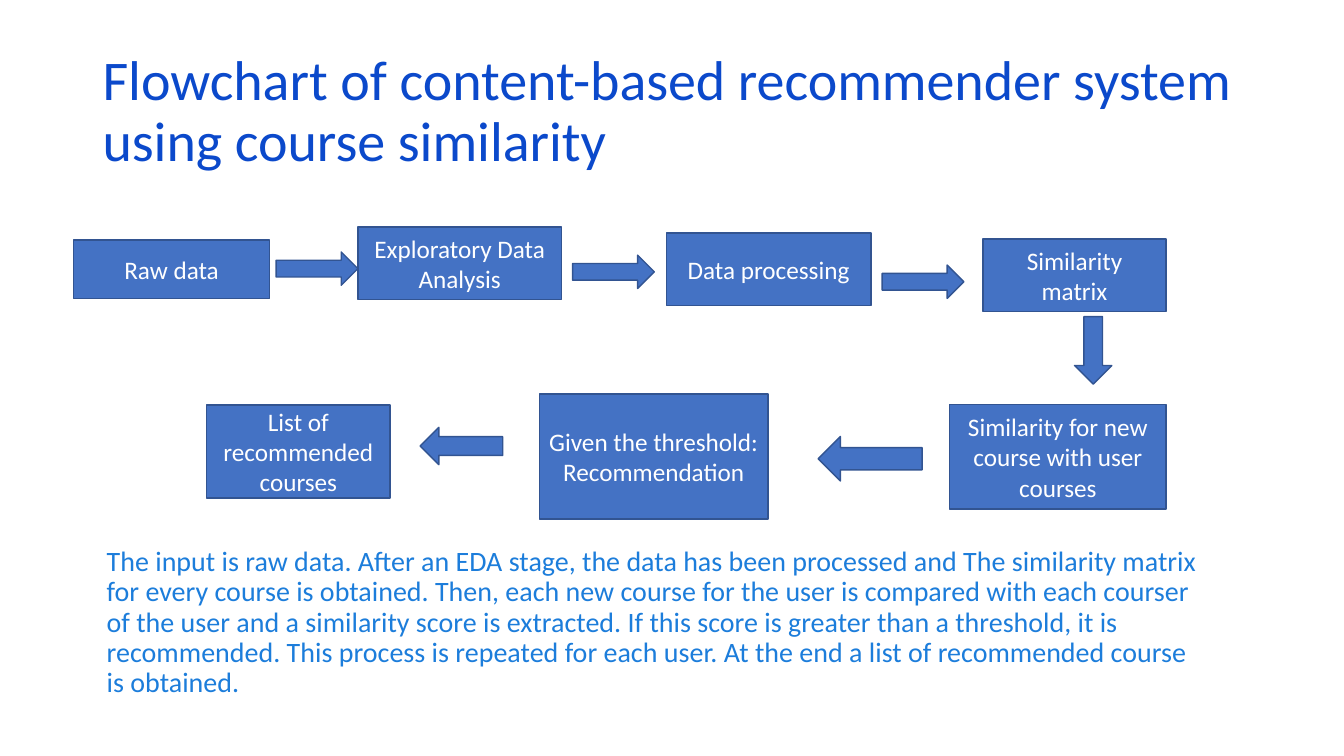
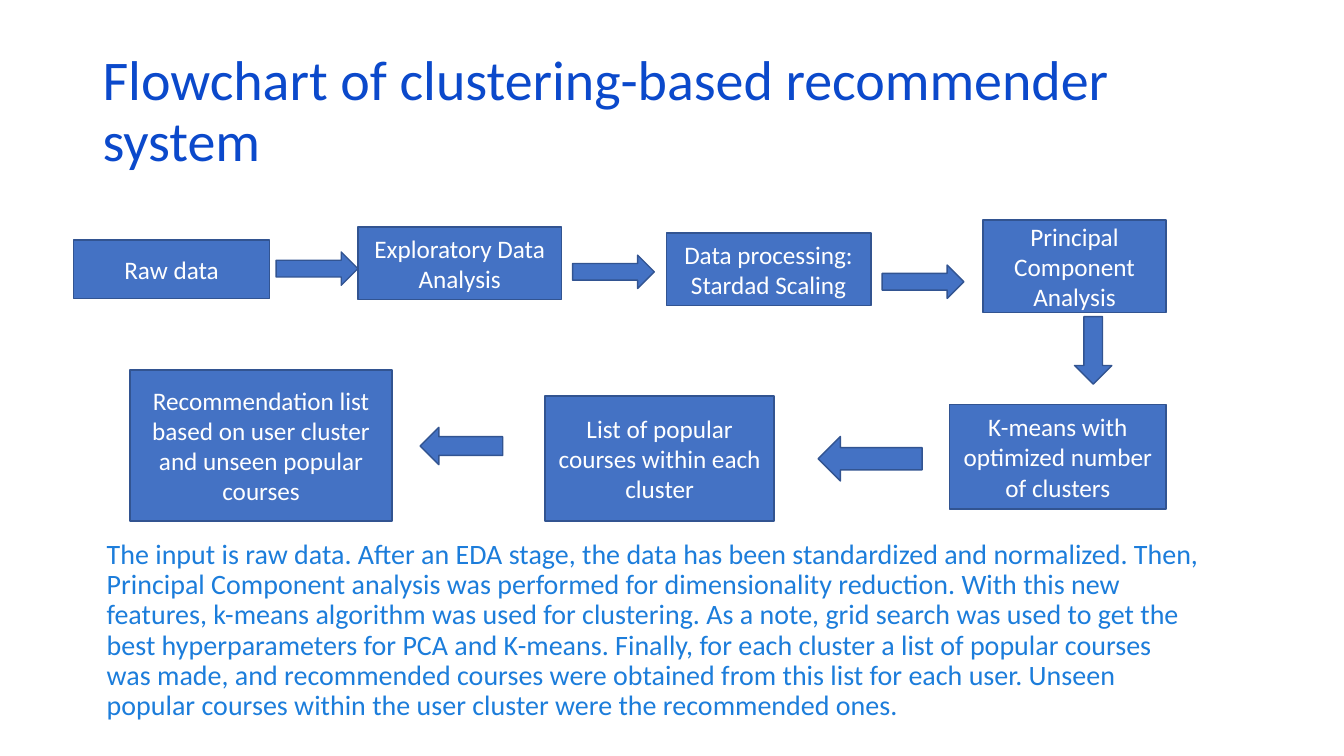
"""Build two flowchart slides that explain course recommender systems."""
from dataclasses import dataclass

from pptx import Presentation
from pptx import util as u
from pptx.dml.color import RGBColor
from pptx.enum import shapes, text
from pptx.shapes.autoshape import Shape
from pptx.slide import Slide
from pptx.text.text import TextFrame


@dataclass(frozen=True)
class Theme:
    font: str = "Calibri"
    title_color: str = "0B49CB"
    body_color: str = "1C7DDB"
    fill_color: str = "4472C4"
    line_color: str = "325491"
    label_color: str = "FFFFFF"
    title_size: float = 40
    body_size: float = 20
    label_size: float = 18
    line_width: float = 1
    line_spacing: float = 0.9
    body_space_before: float = 10


@dataclass(frozen=True)
class Area:
    left: float
    top: float
    width: float
    height: float

    def lengths(self) -> tuple[u.Length, ...]:
        return u.Cm(self.left), u.Cm(self.top), u.Cm(self.width), u.Cm(self.height)


@dataclass(frozen=True)
class Step:
    label: str
    area: Area


@dataclass(frozen=True)
class Arrow:
    kind: shapes.MSO_SHAPE
    area: Area


@dataclass(frozen=True)
class Flowchart:
    title: str
    steps: tuple[Step, ...]
    summary: str
    summary_area: Area


THEME = Theme()
TITLE_AREA = Area(2.33, 1.01, 29.21, 3.68)

RAW_DATA = Step("Raw data", Area(1.85, 6.05, 4.95, 1.47))
EXPLORATION = Step("Exploratory Data Analysis", Area(9.02, 5.72, 5.13, 1.83))
PROCESSING_AREA = Area(16.79, 5.87, 5.16, 1.83)
COMPARISON_AREA = Area(23.93, 10.19, 5.46, 2.64)

ARROWS = (
    Arrow(shapes.MSO_SHAPE.RIGHT_ARROW, Area(6.96, 6.35, 2.06, 0.84)),
    Arrow(shapes.MSO_SHAPE.RIGHT_ARROW, Area(14.43, 6.43, 2.06, 0.84)),
    Arrow(shapes.MSO_SHAPE.RIGHT_ARROW, Area(22.23, 6.68, 2.06, 0.84)),
    Arrow(shapes.MSO_SHAPE.DOWN_ARROW, Area(27.08, 7.98, 0.94, 1.7)),
    Arrow(shapes.MSO_SHAPE.LEFT_ARROW, Area(20.62, 11, 2.62, 1.12)),
    Arrow(shapes.MSO_SHAPE.LEFT_ARROW, Area(10.59, 10.77, 2.08, 0.94)),
)

FLOWCHARTS = (
    Flowchart(
        "Flowchart of content-based recommender system using course similarity",
        (
            RAW_DATA,
            EXPLORATION,
            Step("Data processing", PROCESSING_AREA),
            Step("Similarity matrix", Area(24.77, 6.02, 4.62, 1.83)),
            Step("Similarity for new course with user courses", COMPARISON_AREA),
            Step("Given the threshold:\nRecommendation", Area(13.59, 9.93, 5.77, 3.15)),
            Step("List of recommended courses", Area(5.21, 10.21, 4.62, 2.34)),
        ),
        "The input is raw data. After an EDA stage, the data has been processed and "
        "The similarity matrix for every course is obtained. Then, each new course for "
        "the user is compared with each courser of the user and a similarity score is "
        "extracted. If this score is greater than a threshold, it is recommended. This "
        "process is repeated for each user. At the end a list of recommended course is "
        "obtained.",
        Area(2.44, 13.67, 28.09, 4.9),
    ),
    Flowchart(
        "Flowchart of clustering-based recommender system",
        (
            RAW_DATA,
            EXPLORATION,
            Step("Data processing:\nStardad Scaling", PROCESSING_AREA),
            Step("Principal Component Analysis", Area(24.77, 5.54, 4.62, 2.34)),
            Step("K-means with optimized number of clusters", COMPARISON_AREA),
            Step("List of popular courses within each cluster", Area(13.74, 9.98, 5.77, 3.15)),
            Step(
                "Recommendation list based on user cluster and unseen popular courses",
                Area(3.28, 9.32, 6.6, 3.81),
            ),
        ),
        "The input is raw data. After an EDA stage, the data has been standardized and "
        "normalized. Then, Principal Component analysis was performed for dimensionality "
        "reduction. With this new features, k-means algorithm was used for clustering. As "
        "a note, grid search was used to get the best hyperparameters for PCA and K-means. "
        "Finally, for each cluster a list of popular courses was made, and recommended "
        "courses were obtained from this list for each user. Unseen popular courses within "
        "the user cluster were the recommended ones.",
        Area(2.44, 13.49, 28.09, 5.08),
    ),
)


def write_text(
    frame: TextFrame,
    content: str,
    size: float,
    color: str,
    align: text.PP_ALIGN = text.PP_ALIGN.LEFT,
    line_spacing: float = 1.0,
    space_before: float = 0,
) -> None:
    frame.text = content
    frame.word_wrap = True
    frame.auto_size = text.MSO_AUTO_SIZE.NONE
    for paragraph in frame.paragraphs:
        paragraph.alignment = align
        paragraph.line_spacing = line_spacing
        paragraph.space_before = u.Pt(space_before)
        paragraph.font.name = THEME.font
        paragraph.font.size = u.Pt(size)
        paragraph.font.color.rgb = RGBColor.from_string(color)


def add_block(slide: Slide, kind: shapes.MSO_SHAPE, area: Area) -> Shape:
    shape = slide.shapes.add_shape(kind, *area.lengths())
    shape.shadow.inherit = False
    shape.fill.solid()
    shape.fill.fore_color.rgb = RGBColor.from_string(THEME.fill_color)
    shape.line.color.rgb = RGBColor.from_string(THEME.line_color)
    shape.line.width = u.Pt(THEME.line_width)
    return shape


def add_step(slide: Slide, step: Step) -> None:
    frame = add_block(slide, shapes.MSO_SHAPE.RECTANGLE, step.area).text_frame
    frame.vertical_anchor = text.MSO_ANCHOR.MIDDLE
    write_text(frame, step.label, THEME.label_size, THEME.label_color, text.PP_ALIGN.CENTER)


def add_title(slide: Slide, content: str) -> None:
    title = slide.shapes.title
    title.left, title.top, title.width, title.height = TITLE_AREA.lengths()
    title.text_frame.vertical_anchor = text.MSO_ANCHOR.MIDDLE
    write_text(
        title.text_frame,
        content,
        THEME.title_size,
        THEME.title_color,
        line_spacing=THEME.line_spacing,
    )


def add_summary(slide: Slide, content: str, area: Area) -> None:
    write_text(
        slide.shapes.add_textbox(*area.lengths()).text_frame,
        content,
        THEME.body_size,
        THEME.body_color,
        line_spacing=THEME.line_spacing,
        space_before=THEME.body_space_before,
    )


def add_flowchart(slide: Slide, flowchart: Flowchart) -> None:
    add_title(slide, flowchart.title)
    for step in flowchart.steps:
        add_step(slide, step)
    for arrow in ARROWS:
        add_block(slide, arrow.kind, arrow.area)
    add_summary(slide, flowchart.summary, flowchart.summary_area)


def main() -> None:
    presentation = Presentation()
    presentation.slide_width = u.Cm(33.87)
    presentation.slide_height = u.Cm(19.05)
    title_only = presentation.slide_layouts.get_by_name("Title Only")
    for flowchart in FLOWCHARTS:
        add_flowchart(presentation.slides.add_slide(title_only), flowchart)
    presentation.save("out.pptx")


if __name__ == "__main__":
    main()
